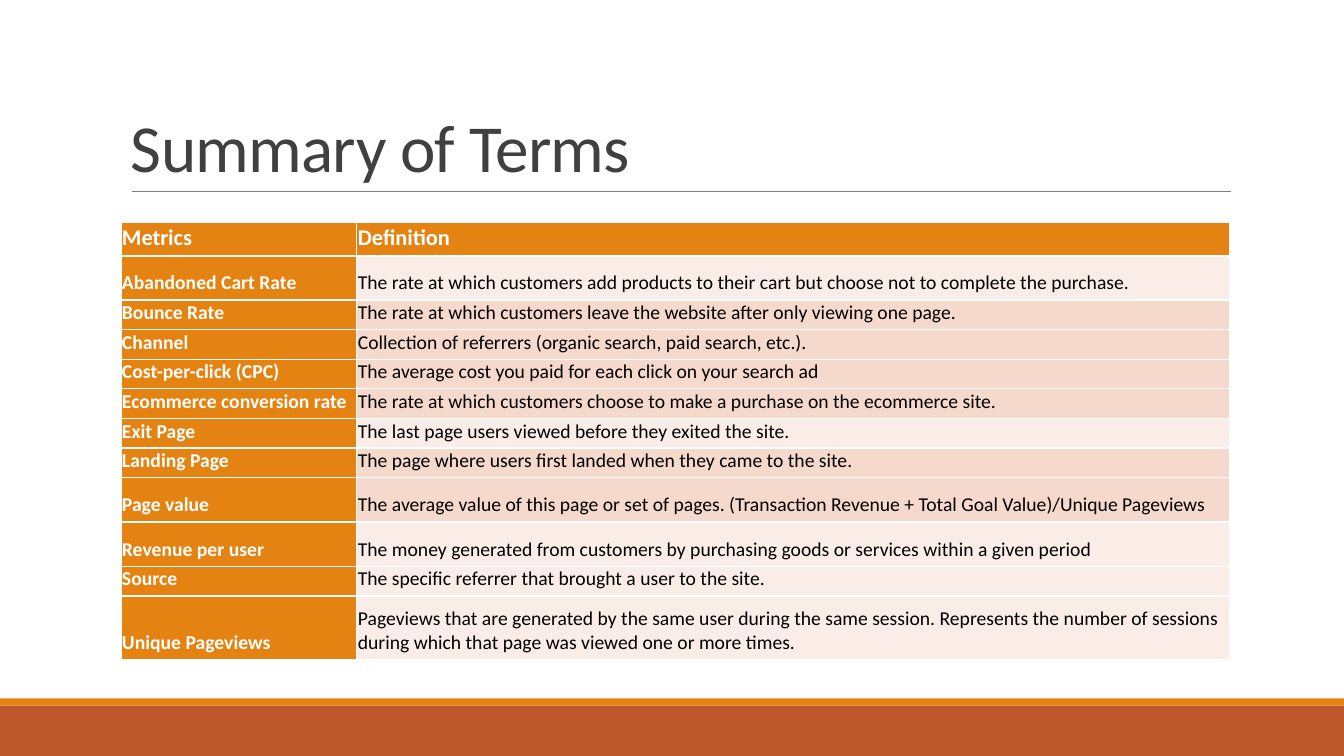
from dataclasses import dataclass

from lxml import etree
from pptx import Presentation
from pptx.dml.color import RGBColor
from pptx.enum.shapes import MSO_CONNECTOR, MSO_SHAPE
from pptx.enum.text import MSO_ANCHOR
from pptx.oxml.ns import qn
from pptx.util import Inches, Pt

RECTANGLE = MSO_SHAPE.RECTANGLE
STRAIGHT = MSO_CONNECTOR.STRAIGHT
BOTTOM = MSO_ANCHOR.BOTTOM

FONT = "Calibri"
WHITE, BLACK = "FFFFFF", "000000"
ORANGE, RUST = "E48312", "BD582C"
PALE, PEACH = "FAEDE7", "F5D9CC"
TITLE_GREY, RULE_GREY = "404040", "808080"
LOW, MEDIUM, HIGH = 0.25, 0.44, 0.63


@dataclass(frozen=True)
class Band:
    top: float
    height: float
    color: str


@dataclass(frozen=True)
class Term:
    metric: str
    definition: str
    tint: str
    height: float = LOW


BANDS = [Band(7, 0.5, RUST), Band(6.93, 0.07, ORANGE)]

TERMS = [
    Term("Abandoned Cart Rate", "The rate at which customers add products to their cart "
         "but choose not to complete the purchase.", PALE, MEDIUM),
    Term("Bounce Rate", "The rate at which customers leave the website "
         "after only viewing one page.", PEACH),
    Term("Channel", "Collection of referrers (organic search, paid search, etc.).", PEACH),
    Term("Cost-per-click (CPC)", "The average cost you paid for each click "
         "on your search ad", PEACH),
    Term("Ecommerce conversion rate", "The rate at which customers choose to make "
         "a purchase on the ecommerce site.", PEACH),
    Term("Exit Page", "The last page users viewed before they exited the site.", PALE),
    Term("Landing Page", "The page where users first landed when they came to the site.",
         PEACH),
    Term("Page value", "The average value of this page or set of pages. "
         "(Transaction Revenue + Total Goal Value)/Unique Pageviews", PEACH, MEDIUM),
    Term("Revenue per user", "The money generated from customers by purchasing goods "
         "or services within a given period", PALE, MEDIUM),
    Term("Source", "The specific referrer that brought a user to the site.", PALE),
    Term("Unique Pageviews", "Pageviews that are generated by the same user during the "
         "same session. Represents the number of sessions during which that page was "
         "viewed one or more times.", PALE, HIGH),
]


def rgb(color: str) -> RGBColor:
    return RGBColor.from_string(color)


def add_run(paragraph, text: str, size: float, color: str, bold: bool = False):
    run = paragraph.add_run()
    run.text = text
    run.font.name = FONT
    run.font.size = Pt(size)
    run.font.bold = bold
    run.font.color.rgb = rgb(color)
    return run


def draw_band(slide, band: Band) -> None:
    bar = slide.shapes.add_shape(RECTANGLE, 0, Inches(band.top),
                                 Inches(13.33), Inches(band.height))
    bar.shadow.inherit = False
    bar.fill.solid()
    bar.fill.fore_color.rgb = rgb(band.color)
    bar.line.fill.background()


def draw_title_rule(slide) -> None:
    rule = slide.shapes.add_connector(STRAIGHT, Inches(1.31), Inches(1.9),
                                      Inches(12.21), Inches(1.9))
    rule.line.color.rgb = rgb(RULE_GREY)
    rule.line.width = Pt(0.5)
    etree.SubElement(rule._element.spPr, qn("a:effectLst"))


def draw_title(slide, text: str) -> None:
    title = slide.shapes.add_textbox(Inches(1.2), Inches(0.31), Inches(11), Inches(1.59))
    frame = title.text_frame
    frame.word_wrap = True
    frame.vertical_anchor = BOTTOM
    paragraph = frame.paragraphs[0]
    paragraph.line_spacing = 0.85
    run = add_run(paragraph, text, 48, TITLE_GREY)
    run._r.get_or_add_rPr().set("spc", "-50")


def set_borders(cell, top: float = 1, bottom: float = 1) -> None:
    properties = cell._tc.get_or_add_tcPr()
    sides = {"a:lnL": 1, "a:lnR": 1, "a:lnT": top, "a:lnB": bottom}
    for position, (tag, width) in enumerate(sides.items()):
        border = etree.Element(qn(tag), w=str(Pt(width)))
        fill = etree.SubElement(border, qn("a:solidFill"))
        etree.SubElement(fill, qn("a:srgbClr"), val=WHITE)
        properties.insert(position, border)


def fill_cell(cell, text: str, size: float, color: str, bold: bool, fill: str) -> None:
    cell.margin_left = cell.margin_right = cell.margin_top = Inches(0.01)
    cell.margin_bottom = Inches(0.05)
    cell.vertical_anchor = BOTTOM
    cell.fill.solid()
    cell.fill.fore_color.rgb = rgb(fill)
    add_run(cell.text_frame.paragraphs[0], text, size, color, bold)


def draw_glossary(slide, terms: list[Term]) -> None:
    heights = [LOW] + [term.height for term in terms]
    frame = slide.shapes.add_table(len(heights), 2, Inches(1.2), Inches(2.21),
                                   Inches(11), Inches(sum(heights)))
    glossary = frame.table
    glossary.horz_banding = False
    for column, width in zip(glossary.columns, (2.34, 8.66)):
        column.width = Inches(width)
    for row, height in zip(glossary.rows, heights):
        row.height = Inches(height)

    # Header row, with a heavier line beneath it
    for column, heading in enumerate(("Metrics", "Definition")):
        cell = glossary.cell(0, column)
        fill_cell(cell, heading, 16, WHITE, True, ORANGE)
        set_borders(cell, bottom=1.5)

    # One row per term
    for row, term in enumerate(terms, start=1):
        metric, definition = glossary.cell(row, 0), glossary.cell(row, 1)
        fill_cell(metric, term.metric, 14, WHITE, True, ORANGE)
        fill_cell(definition, term.definition, 14, BLACK, False, term.tint)
        for cell in (metric, definition):
            set_borders(cell, top=1.5 if row == 1 else 1)


def main() -> None:
    deck = Presentation()
    deck.slide_width, deck.slide_height = Inches(13.33), Inches(7.5)
    slide = deck.slides.add_slide(deck.slide_layouts[6])

    # Footer bands
    for band in BANDS:
        draw_band(slide, band)

    # Heading
    draw_title_rule(slide)
    draw_title(slide, "Summary of Terms")

    # Glossary
    draw_glossary(slide, TERMS)
    deck.save("out.pptx")


if __name__ == "__main__":
    main()
